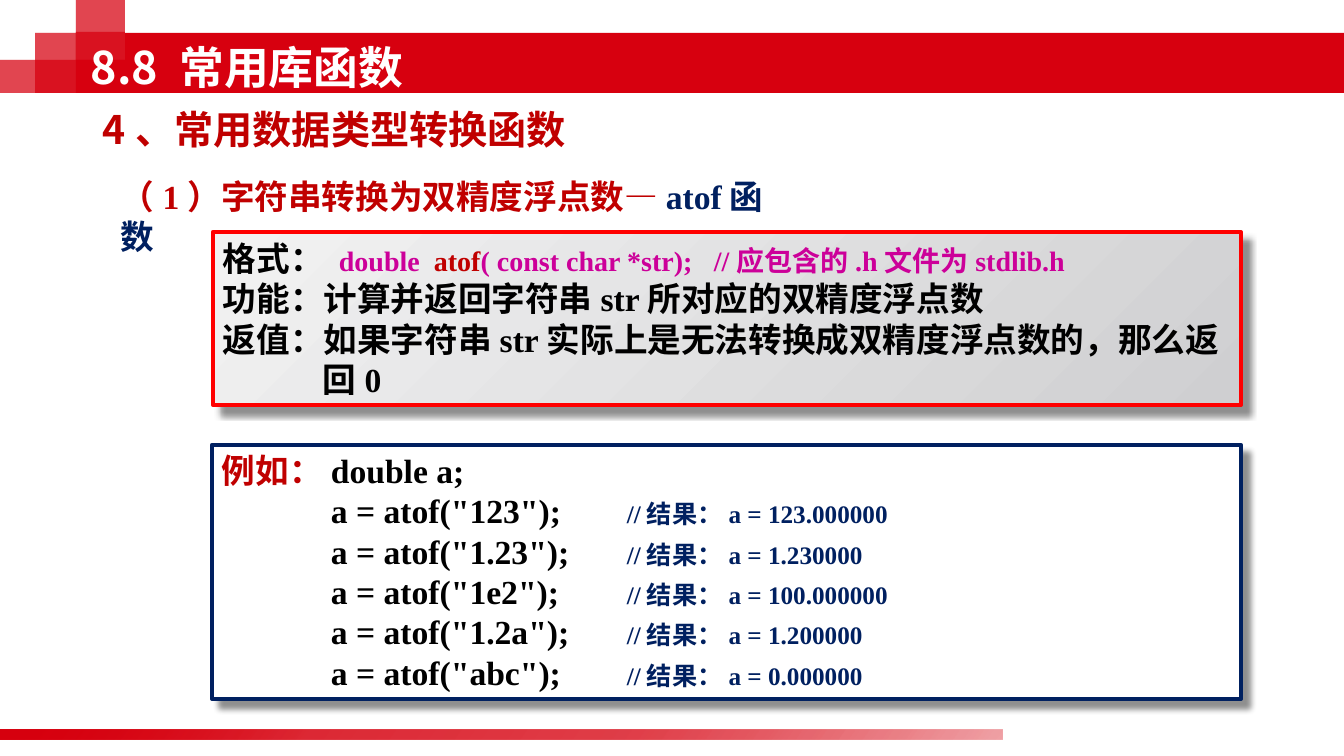
import pptx
import pptx.dml.color
import pptx.enum.shapes
import pptx.enum.text
import pptx.oxml
import pptx.oxml.ns
import pptx.util

RGBColor = pptx.dml.color.RGBColor
MIDDLE = pptx.enum.text.MSO_ANCHOR.MIDDLE
TOP = pptx.enum.text.MSO_ANCHOR.TOP
qn = pptx.oxml.ns.qn

RED = RGBColor(0xD7, 0x00, 0x0F)
BORDER_RED = RGBColor(0xFF, 0x00, 0x00)
DARK_RED = RGBColor(0xC0, 0x00, 0x00)
NAVY = RGBColor(0x00, 0x20, 0x60)
MAGENTA = RGBColor(0xCC, 0x00, 0x99)
BLACK = RGBColor(0x00, 0x00, 0x00)
WHITE = RGBColor(0xFF, 0xFF, 0xFF)
SILVER = RGBColor(0xCF, 0xCF, 0xD1)
PALE = RGBColor(0xF2, 0xF2, 0xF2)

SERIF = "Times New Roman"
SANS = "Noto Sans CJK SC"
EMU_PER_PX = 914400 / 100.8

EXAMPLES = [
    ("123", "123.000000"),
    ("1.23", "1.230000"),
    ("1e2", "100.000000"),
    ("1.2a", "1.200000"),
    ("abc", "0.000000"),
]


def px(length):
    return pptx.util.Emu(round(length * EMU_PER_PX))


def make(tag, parent=None, **attributes):
    """Create a DrawingML element, appended to parent if one is given."""
    element = pptx.oxml.parse_xml(f"<{tag} {pptx.oxml.ns.nsdecls('a')}/>")
    for name, value in attributes.items():
        element.set(name, str(value))
    if parent is not None:
        parent.append(element)
    return element


def add_color(parent, color, opacity):
    element = make("a:srgbClr", parent, val=color)
    if opacity < 100:
        make("a:alpha", element, val=opacity * 1000)


def add_rectangle(slide, box, color=None, opacity=100):
    shape = slide.shapes.add_shape(
        pptx.enum.shapes.MSO_SHAPE.RECTANGLE, *map(px, box))
    shape.shadow.inherit = False
    shape.line.fill.background()
    if color is not None:
        shape.fill.solid()
        shape.fill.fore_color.rgb = color
        if opacity < 100:
            color_element = shape._element.spPr.find(
                f"{qn('a:solidFill')}/{qn('a:srgbClr')}")
            make("a:alpha", color_element, val=opacity * 1000)
    return shape


def set_gradient(shape, stops, angle):
    """Fill with (position, color, opacity) stops at a clockwise angle."""
    shape.fill.gradient()
    shape.fill.gradient_angle = 360 - angle
    stop_list = shape._element.spPr.find(
        f"{qn('a:gradFill')}/{qn('a:gsLst')}")
    for stop in list(stop_list):
        stop_list.remove(stop)
    for position, color, opacity in stops:
        add_color(make("a:gs", stop_list, pos=position * 1000), color, opacity)


def add_panel(slide, box, border, fill=None):
    """Add a bordered rectangle with a drop shadow."""
    shape = add_rectangle(slide, box, fill)
    shape.line.color.rgb = border
    shape.line.width = pptx.util.Pt(3)
    effects = shape._element.spPr.find(qn("a:effectLst"))
    shadow = make("a:outerShdw", effects, blurRad=pptx.util.Pt(4),
                  dist=pptx.util.Pt(8.4), dir=45 * 60000, algn="tl",
                  rotWithShape=0)
    add_color(shadow, BLACK, 43)
    return shape


def add_text_box(slide, box):
    return slide.shapes.add_textbox(*map(px, box))


def write(shape, lines, size, font=SERIF, anchor=TOP, tabs=(), hanging=None):
    """Write lines of (text, color, optional size) runs.

    hanging maps a line number to its hanging indent.
    """
    frame = shape.text_frame
    frame.word_wrap = True
    frame.vertical_anchor = anchor
    for number, runs in enumerate(lines):
        paragraph = frame.paragraphs[0] if number == 0 else frame.add_paragraph()
        paragraph.alignment = pptx.enum.text.PP_ALIGN.LEFT
        properties = paragraph._p.get_or_add_pPr()
        if hanging and number in hanging:
            properties.set("marL", str(px(hanging[number])))
            properties.set("indent", str(-px(hanging[number])))
        elif tabs:
            tab_list = make("a:tabLst", properties)
            for position in tabs:
                make("a:tab", tab_list, pos=px(position), algn="l")
        paragraph.font.name = font
        paragraph.font.size = pptx.util.Pt(size)
        paragraph.font.bold = True
        make("a:ea", properties.find(qn("a:defRPr")), typeface=SANS)
        for text, color, *run_size in runs:
            run = paragraph.add_run()
            run.text = text
            run.font.color.rgb = color
            if run_size:
                run.font.size = pptx.util.Pt(run_size[0])


def add_corner_squares(slide):
    for box in [(0, 60, 125, 33), (35, 33, 41, 60),
                (76, -2, 49, 62), (76, 32, 49, 28)]:
        add_rectangle(slide, box, RED, 48)


def add_bottom_strip(slide):
    strip = add_rectangle(slide, (-2, 730, 1005, 9))
    set_gradient(strip, [(0, RED, 100), (31, RED, 60),
                         (64, RED, 50), (100, RED, 20)], 40)


def add_decoration(slide):
    for _ in range(2):
        add_corner_squares(slide)
        add_bottom_strip(slide)
    add_rectangle(slide, (125, 33, 1219, 60), RED)
    add_rectangle(slide, (76, 60, 49, 33), RED)


def add_headings(slide):
    write(add_text_box(slide, (81, 33, 897, 68)),
          [[("8.8 常用库函数", WHITE)]], 32, SANS, MIDDLE)
    write(add_text_box(slide, (93, 100, 571, 57)),
          [[("4、常用数据类型转换函数", DARK_RED)]], 28, SANS, MIDDLE)
    write(add_text_box(slide, (111, 171, 677, 50)),
          [[("（1）字符串转换为双精度浮点数—", DARK_RED), ("atof函数", NAVY)]], 24)


def add_definition(slide):
    panel = add_panel(slide, (213, 232, 1028, 173), BORDER_RED)
    set_gradient(panel, [(0, SILVER, 100), (100, PALE, 100)], 225)
    write(panel, [
        [("格式：\t", BLACK), ("double\t", MAGENTA, 20), ("atof", DARK_RED, 20),
         ("( const char *str);\t//应包含的.h文件为stdlib.h", MAGENTA, 20)],
        [("功能：计算并返回字符串str所对应的双精度浮点数", BLACK)],
        [("返值：如果字符串str实际上是无法转换成双精度浮点数的，那么返回0", BLACK)],
    ], 24, anchor=MIDDLE, tabs=(116, 211, 491), hanging={2: 100})


def add_example(slide):
    panel = add_panel(slide, (212, 445, 1029, 254), NAVY, WHITE)
    lines = [[("例如：\t", DARK_RED), ("double a;", BLACK)]]
    for argument, result in EXAMPLES:
        lines.append([(f'\ta = atof("{argument}");\t', BLACK),
                      (f"//结果：a = {result}", NAVY, 18)])
    write(panel, lines, 24, tabs=(109, 405))


def main():
    presentation = pptx.Presentation()
    presentation.slide_width = px(1344)
    presentation.slide_height = px(756)
    slide = presentation.slides.add_slide(presentation.slide_layouts[6])
    add_decoration(slide)
    add_definition(slide)
    add_example(slide)
    add_headings(slide)
    presentation.save("out.pptx")


if __name__ == "__main__":
    main()
